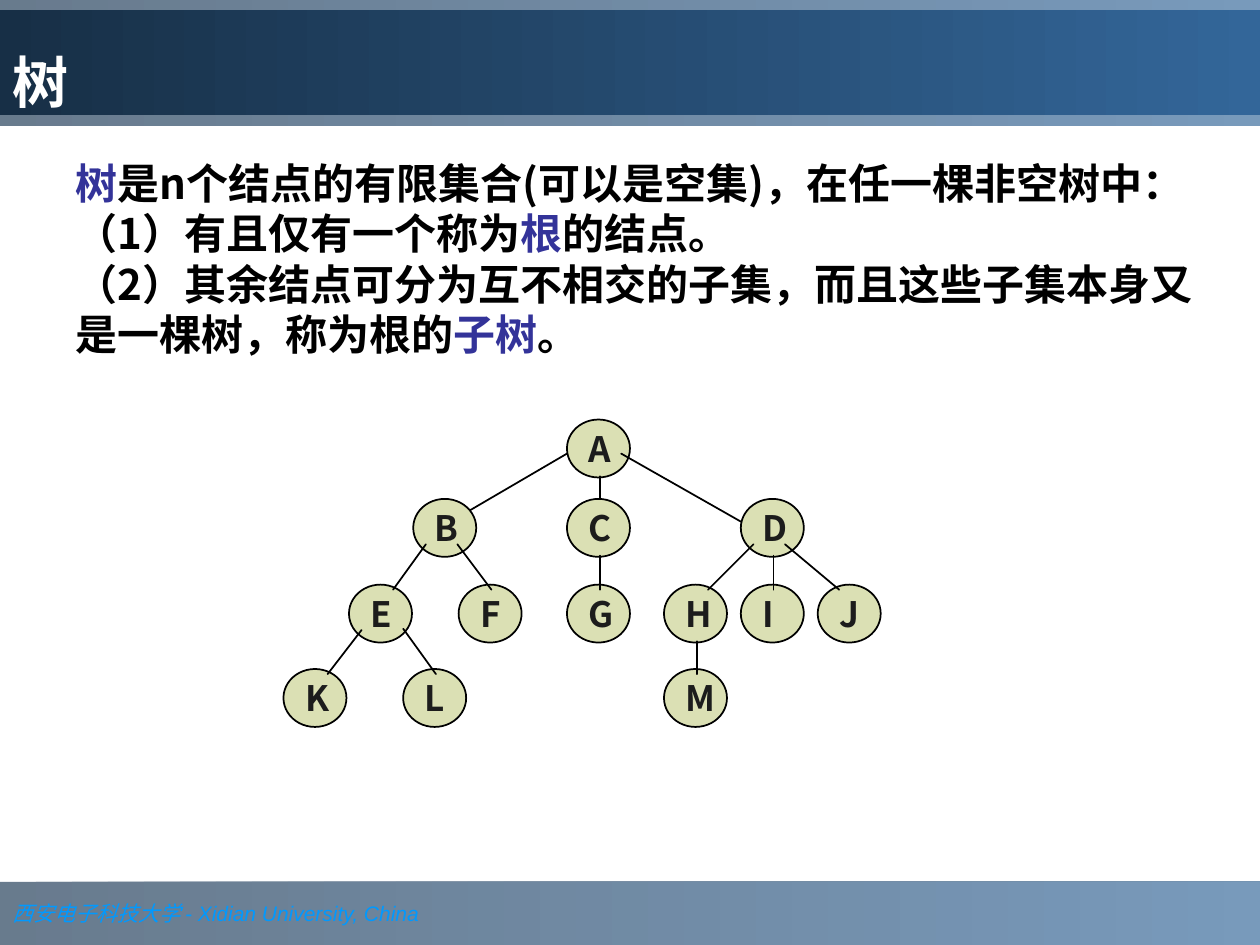
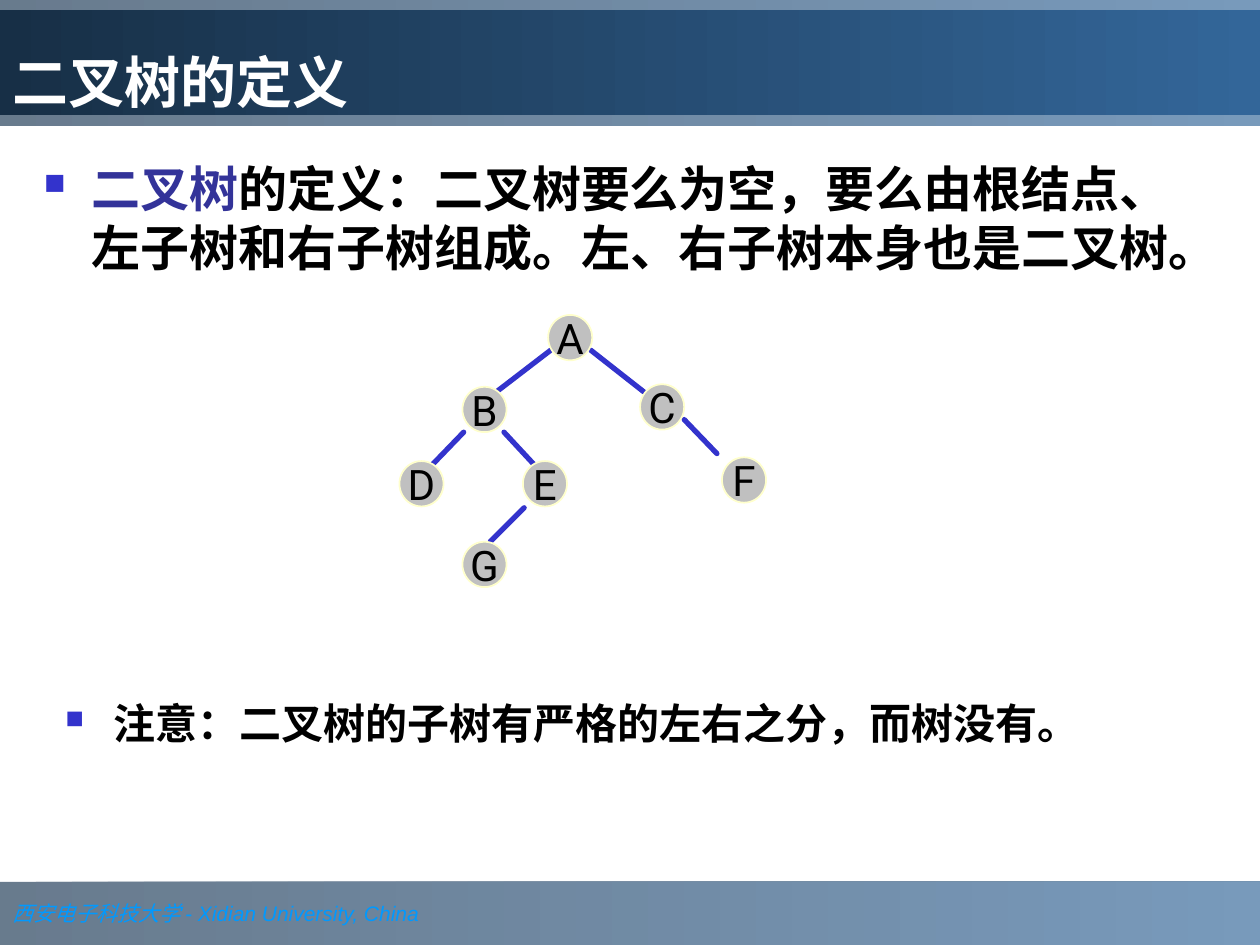
from dataclasses import dataclass

from lxml import etree
from pptx import Presentation
from pptx.dml.color import RGBColor
from pptx.enum.shapes import MSO_CONNECTOR, MSO_SHAPE
from pptx.enum.text import MSO_ANCHOR, PP_ALIGN
from pptx.oxml.ns import qn
from pptx.util import Inches, Pt

RECTANGLE, OVAL = MSO_SHAPE.RECTANGLE, MSO_SHAPE.OVAL
STRAIGHT = MSO_CONNECTOR.STRAIGHT
TOP, MIDDLE, BOTTOM = MSO_ANCHOR.TOP, MSO_ANCHOR.MIDDLE, MSO_ANCHOR.BOTTOM
LEFT, CENTER = PP_ALIGN.LEFT, PP_ALIGN.CENTER

WIDTH, HEIGHT = Inches(10), Inches(7.5)
COLUMNS, ROWS = 100, 75
BLANK_LAYOUT = 6

BLACK = RGBColor(0x00, 0x00, 0x00)
WHITE = RGBColor(0xFF, 0xFF, 0xFF)
CHARCOAL = RGBColor(0x1C, 0x1C, 0x1C)
TERM_BLUE = RGBColor(0x33, 0x33, 0x99)
ACCENT_BLUE = RGBColor(0x33, 0x33, 0xCC)
FOOTER_BLUE = RGBColor(0x00, 0x99, 0xFF)
BAND_DARK = RGBColor(0x1B, 0x37, 0x53)
TITLE_DARK = RGBColor(0x17, 0x2F, 0x46)
BAND_LIGHT = RGBColor(0x33, 0x66, 0x99)
SAGE = RGBColor(0xDB, 0xE0, 0xB4)
SILVER = RGBColor(0xC0, 0xC0, 0xC0)
CREAM = RGBColor(0xFF, 0xFF, 0xCC)

CHINESE_FONT = "Noto Sans CJK SC"
ROBOTO = "Roboto"
BAND_OPACITY = 66


@dataclass
class TreeStyle:
    size: tuple
    fill: RGBColor
    outline: RGBColor
    edge_color: RGBColor
    edge_width: float
    edges_on_top: bool
    text: dict


GENERAL_STYLE = TreeStyle(
    (5, 4.6), SAGE, BLACK, BLACK, 1, True,
    dict(size=20, font=CHINESE_FONT, color=CHARCOAL, bold=True,
         insets=(0.1, 0, 0, 0), anchor=MIDDLE))
BINARY_STYLE = TreeStyle(
    (3.5, 3.6), SILVER, CREAM, ACCENT_BLUE, 3, False,
    dict(size=24, font=ROBOTO, color=BLACK, align=CENTER,
         anchor=MIDDLE, wrap=False))

GENERAL_LEVELS = {
    33.3: {"A": 45},
    39.6: {"B": 32.8, "C": 45, "D": 58.8},
    46.4: {"E": 27.7, "F": 36.4, "G": 45, "H": 52.7, "I": 58.8, "J": 64.9},
    53.1: {"K": 22.5, "L": 32, "M": 52.7},
}
LOWER_LEFT, UNDER, LOWER_RIGHT = (1, 3.6), (2.6, 4.5), (3.5, 3.6)
UPPER_LEFT, UPPER_MIDDLE, UPPER_RIGHT = (1.7, 0.4), (2.6, 0.4), (3.5, 0.4)
GENERAL_EDGES = [
    ("AB", (0, 2.7), (4.5, 0.9)),
    ("AC", UNDER, (2.6, 0)),
    ("AD", (4.3, 2.7), (0, 1.8)),
    ("BE", LOWER_LEFT, UPPER_RIGHT),
    ("BF", LOWER_RIGHT, UPPER_MIDDLE),
    ("CG", UNDER, UPPER_MIDDLE),
    ("DH", LOWER_LEFT, UPPER_RIGHT),
    ("DI", UNDER, UPPER_MIDDLE),
    ("DJ", LOWER_RIGHT, UPPER_LEFT),
    ("EK", LOWER_LEFT, UPPER_RIGHT),
    ("EL", (4.3, 3.5), UPPER_MIDDLE),
    ("HM", UNDER, UPPER_MIDDLE),
]

BINARY_LEVELS = {
    25: {"A": 43.5},
    30.5: {"C": 50.8},
    30.7: {"B": 36.7},
    36.3: {"F": 57.3},
    36.6: {"D": 31.7, "E": 41.5},
    43: {"G": 36.7},
}
BINARY_EDGES = [
    ("AB", (0.2, 2.8), (2.7, 0.4)),
    ("AC", (3.4, 2.8), (0.3, 0.6)),
    ("BD", (0.1, 3.6), (2.4, 0.5)),
    ("BE", (3.3, 3.6), (1.1, 0.5)),
    ("CF", (3.5, 2.8), (-0.4, -0.3)),
    ("EG", (0.1, 3.7), (2.2, 0)),
]


def across(columns):
    return round(WIDTH * columns / COLUMNS)


def down(rows):
    return round(HEIGHT * rows / ROWS)


def place(column, row, columns, rows):
    return across(column), down(row), across(columns), down(rows)


def add_bullet(paragraph, color):
    properties = paragraph._p.get_or_add_pPr()
    indent = Inches(0.38)
    properties.set("marL", str(indent))
    properties.set("indent", str(-indent))
    bullet_color = etree.SubElement(properties, qn("a:buClr"))
    etree.SubElement(bullet_color, qn("a:srgbClr"), val=str(color))
    etree.SubElement(properties, qn("a:buSzPct"), val="60000")
    etree.SubElement(properties, qn("a:buChar"), char="■")


def write_text(shape, *pieces, size, color, font, bold=False, italic=False,
               align=LEFT, anchor=TOP, wrap=True, insets=(0.1, 0.05, 0.1, 0.05),
               line_height=None, bullet=False):
    frame = shape.text_frame
    frame.word_wrap = wrap
    frame.vertical_anchor = anchor
    (frame.margin_left, frame.margin_top,
     frame.margin_right, frame.margin_bottom) = map(Inches, insets)
    paragraph = frame.paragraphs[0]
    paragraph.alignment = align
    if line_height:
        paragraph.line_spacing = Pt(line_height)
    if bullet:
        add_bullet(paragraph, ACCENT_BLUE)
    for piece in pieces:
        text, changes = piece if isinstance(piece, tuple) else (piece, {})
        for number, line in enumerate(text.split("\n")):
            if number:
                paragraph.add_line_break()
            run = paragraph.add_run()
            run.text = line
            run.font.size = Pt(size)
            run.font.bold = bold
            run.font.italic = italic
            run.font.name = changes.get("font", font)
            run.font.color.rgb = changes.get("color", color)
            etree.SubElement(run._r.get_or_add_rPr(), qn("a:ea"),
                             typeface=CHINESE_FONT)


def add_band(slide, row, rows, dark, opacity=100):
    band = slide.shapes.add_shape(RECTANGLE, *place(0, row, COLUMNS, rows))
    band.shadow.inherit = False
    band.line.fill.background()
    band.fill.gradient()
    band.fill.gradient_angle = 0
    for stop, color in zip(band.fill.gradient_stops, (dark, BAND_LIGHT)):
        stop.color.rgb = color
    if opacity < 100:
        for color in band._element.spPr.iter(qn("a:srgbClr")):
            etree.SubElement(color, qn("a:alpha"), val=str(opacity * 1000))
    return band


def add_text(slide, area, *pieces, **text_format):
    box = slide.shapes.add_textbox(*place(*area))
    write_text(box, *pieces, color=BLACK, bold=True, **text_format)


def add_slide(presentation, title):
    slide = presentation.slides.add_slide(presentation.slide_layouts[BLANK_LAYOUT])
    footer = add_band(slide, 70, 5, BAND_DARK, BAND_OPACITY)
    write_text(footer, "西安电子科技大学 ",
               ("- Xidian University, China", {"font": "Arial"}),
               size=12, font="Times New Roman", color=FOOTER_BLUE,
               italic=True, anchor=MIDDLE)
    add_band(slide, 0, 10, BAND_DARK, BAND_OPACITY)
    title_band = add_band(slide, 0.8, 8.3, TITLE_DARK)
    write_text(title_band, title, size=32, font=ROBOTO, color=WHITE, bold=True,
               anchor=BOTTOM, insets=(0.1, 0.05, 0.1, 0))
    return slide


def add_node(shapes, label, position, style):
    node = shapes.add_shape(OVAL, *place(*position, *style.size))
    node.shadow.inherit = False
    node.fill.solid()
    node.fill.fore_color.rgb = style.fill
    node.line.color.rgb = style.outline
    node.line.width = Pt(1)
    write_text(node, label, **style.text)


def add_edge(shapes, start, end, style):
    edge = shapes.add_connector(STRAIGHT, across(start[0]), down(start[1]),
                                across(end[0]), down(end[1]))
    edge.line.color.rgb = style.edge_color
    edge.line.width = Pt(style.edge_width)
    properties = edge._element.spPr
    properties.find(qn("a:ln")).set("cap", "rnd")
    etree.SubElement(properties, qn("a:effectLst"))


def add_tree(slide, levels, edges, style):
    shapes = slide.shapes.add_group_shape().shapes
    positions = {label: (column, row) for row, level in levels.items()
                 for label, column in level.items()}

    def add_nodes():
        for label, position in positions.items():
            add_node(shapes, label, position, style)

    def add_edges():
        for (parent, child), start, end in edges:
            ends = [tuple(map(sum, zip(positions[label], offset)))
                    for label, offset in ((parent, start), (child, end))]
            add_edge(shapes, *ends, style)

    steps = [add_nodes, add_edges]
    for step in steps if style.edges_on_top else reversed(steps):
        step()


def main():
    presentation = Presentation()
    presentation.slide_width, presentation.slide_height = WIDTH, HEIGHT
    term = {"color": TERM_BLUE}

    tree_slide = add_slide(presentation, "树")
    add_text(tree_slide, (5, 12, 92.5, 21),
             ("树", term),
             "是n个结点的有限集合(可以是空集)，在任一棵非空树中：\n（1）有且仅有一个称为",
             ("根", term),
             "的结点。\n（2）其余结点可分为互不相交的子集，而且这些子集本身又是一棵树，称为根的",
             ("子树", term), "。",
             size=24, font=CHINESE_FONT, line_height=28.8)
    add_tree(tree_slide, GENERAL_LEVELS, GENERAL_EDGES, GENERAL_STYLE)

    binary_slide = add_slide(presentation, "二叉树的定义")
    add_text(binary_slide, (2.5, 12.1, 94.2, 14.7),
             ("二叉树", term),
             "的定义：二叉树要么为空，要么由根结点、左子树和右子树组成。左、右子树本身也是二叉树。",
             size=28, font=ROBOTO, line_height=33.5, bullet=True)
    add_text(binary_slide, (4.2, 55, 88.3, 7.5),
             "注意：二叉树的子树有严格的左右之分，而树没有。",
             size=24, font=ROBOTO, line_height=28, bullet=True)
    add_tree(binary_slide, BINARY_LEVELS, BINARY_EDGES, BINARY_STYLE)

    presentation.save("out.pptx")


if __name__ == "__main__":
    main()
